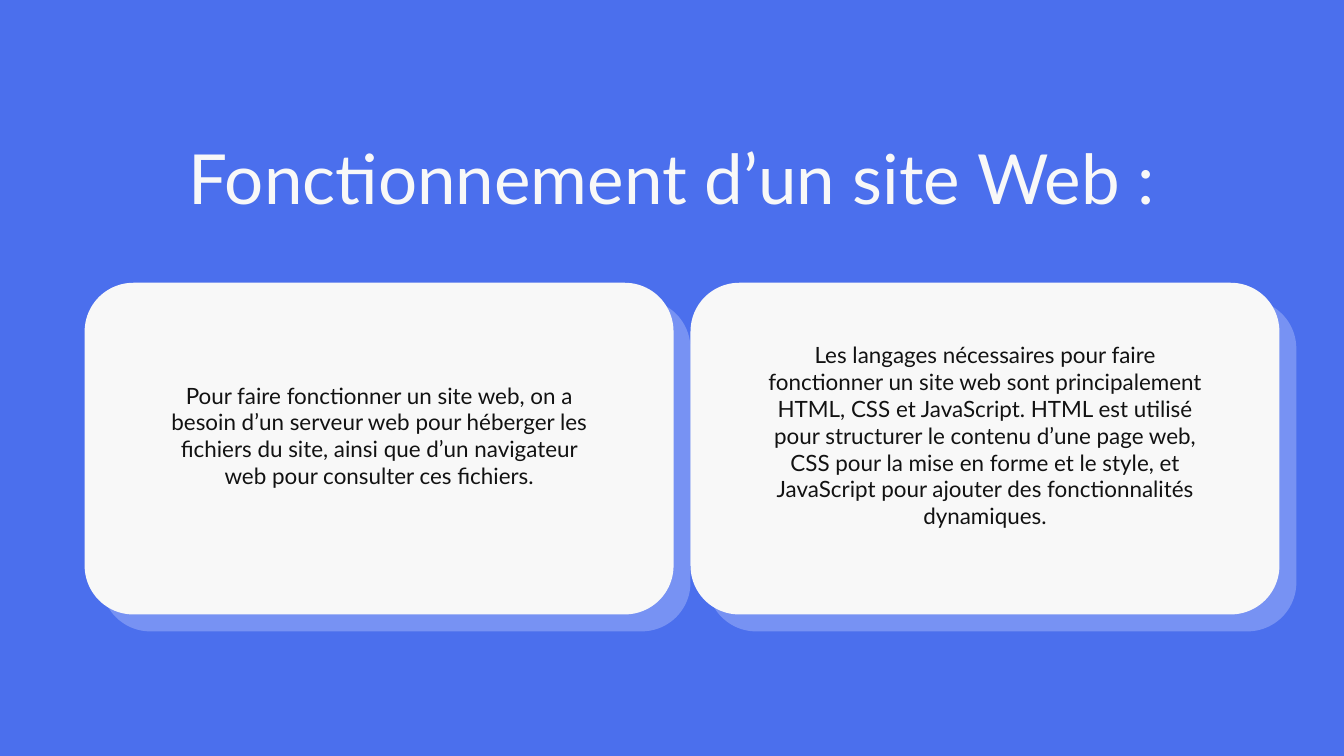
"""Build a slide on how a website works, with two text cards."""
from lxml import etree
from pptx import Presentation
from pptx.dml.color import RGBColor
from pptx.enum.shapes import MSO_SHAPE
from pptx.enum.text import PP_ALIGN
from pptx.oxml.ns import qn
from pptx.util import Cm, Pt

ROUNDED = MSO_SHAPE.ROUNDED_RECTANGLE
CENTER = PP_ALIGN.CENTER

BLUE, LIGHT, WHITE, BLACK = "4B6FED", "CED8FF", "F8F8F8", "121212"
CARD_LEFT, CARD_TOP, CARD_W, CARD_H = 3.2, 10.69, 22.26, 12.54
CARD_PITCH, SHADOW_OFFSET, TEXT_INSET, TEXT_W = 22.9, 0.64, 2.94, 16.38

TITLE_FORMAT = {"size": Pt(74), "name": "Lato"}
BODY_FORMAT = {"size": Pt(24), "name": "Lato"}
MARGINS = {"margin_left": 0, "margin_top": 0, "margin_right": 0, "margin_bottom": 0}

CARDS = [
    (14.43, 5.05,
     "Pour faire fonctionner un site web, on a besoin d’un serveur web pour "
     "héberger les fichiers du site, ainsi que d’un navigateur web pour "
     "consulter ces fichiers."),
    (12.9, 8.05,
     "Les langages nécessaires pour faire fonctionner un site web sont "
     "principalement HTML, CSS et JavaScript. HTML est utilisé pour structurer "
     "le contenu d’une page web, CSS pour la mise en forme et le style, et "
     "JavaScript pour ajouter des fonctionnalités dynamiques."),
]


def set_color(fmt, color):
    """Give a fill or a font a solid hex colour."""
    if hasattr(fmt, "solid"):
        fmt.solid()
        fmt.fore_color.rgb = RGBColor.from_string(color)
    else:
        fmt.color.rgb = RGBColor.from_string(color)


def add_text(box, text, fmt, color):
    """Add a centred text box with exact line spacing."""
    tf = s.shapes.add_textbox(*map(Cm, box)).text_frame
    tf.word_wrap = True
    for key, value in MARGINS.items():
        setattr(tf, key, value)
    p = tf.paragraphs[0]
    p.alignment = CENTER
    p.line_spacing = Pt(fmt["size"].pt * 1.2)
    r = p.add_run()
    r.text = text
    for key, value in fmt.items():
        setattr(r.font, key, value)
    set_color(r.font, color)


prs = Presentation()
prs.slide_width, prs.slide_height = Cm(50.8), Cm(28.58)
s = prs.slides.add_slide(prs.slide_layouts[6])
set_color(s.background.fill, BLUE)

add_text((5.54, 5.13, 39.73, 3.1), "Fonctionnement d’un site Web :", TITLE_FORMAT, WHITE)

for i, (text_top, text_h, text) in enumerate(CARDS):
    left = CARD_LEFT + i * CARD_PITCH
    for offset, color, alpha in [(SHADOW_OFFSET, LIGHT, 34), (0, WHITE, 100)]:
        sp = s.shapes.add_shape(ROUNDED, Cm(left + offset), Cm(CARD_TOP + offset),
                                Cm(CARD_W), Cm(CARD_H))
        sp.adjustments[0] = 0.147
        sp.shadow.inherit = False
        sp.line.fill.background()
        set_color(sp.fill, color)
        if alpha < 100:
            clr = sp.fill._xPr.find(qn("a:solidFill"))[0]
            etree.SubElement(clr, qn("a:alpha"), val=str(alpha * 1000))
    add_text((left + TEXT_INSET, text_top, TEXT_W, text_h), text, BODY_FORMAT, BLACK)

prs.save("out.pptx")
